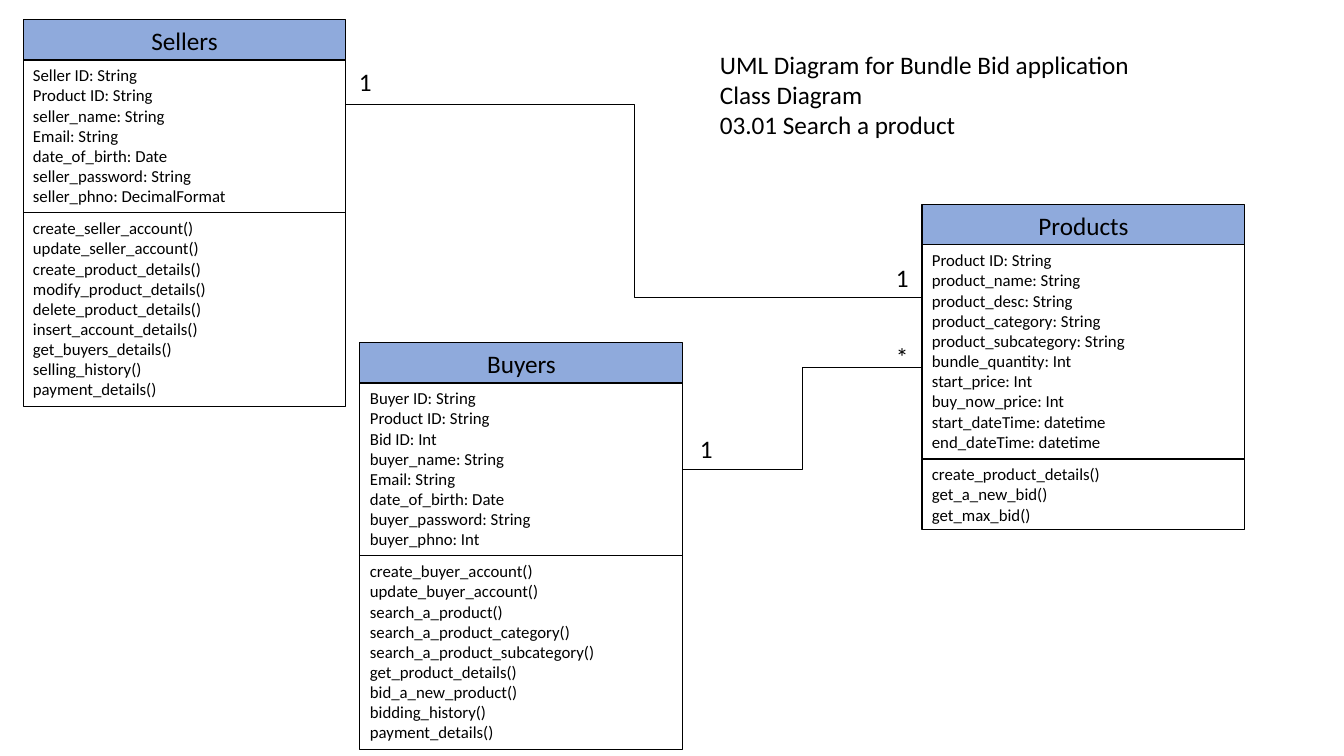
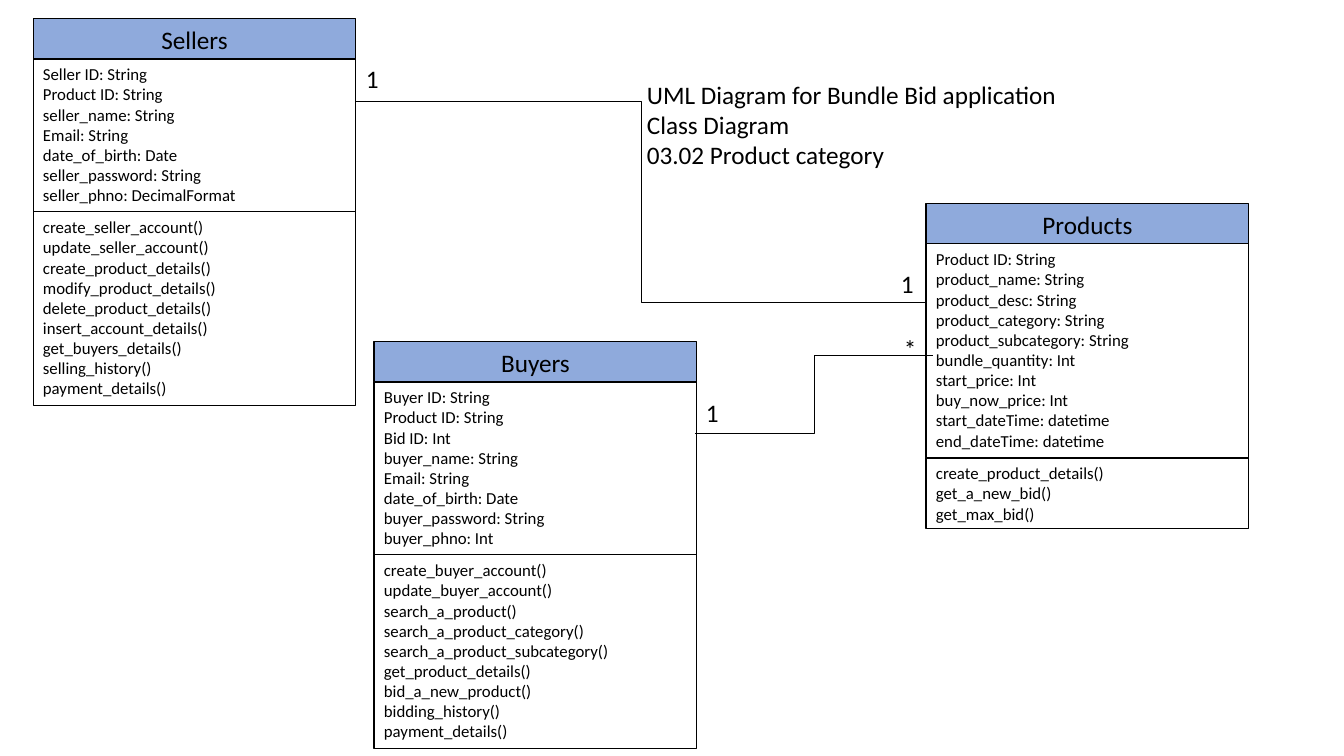
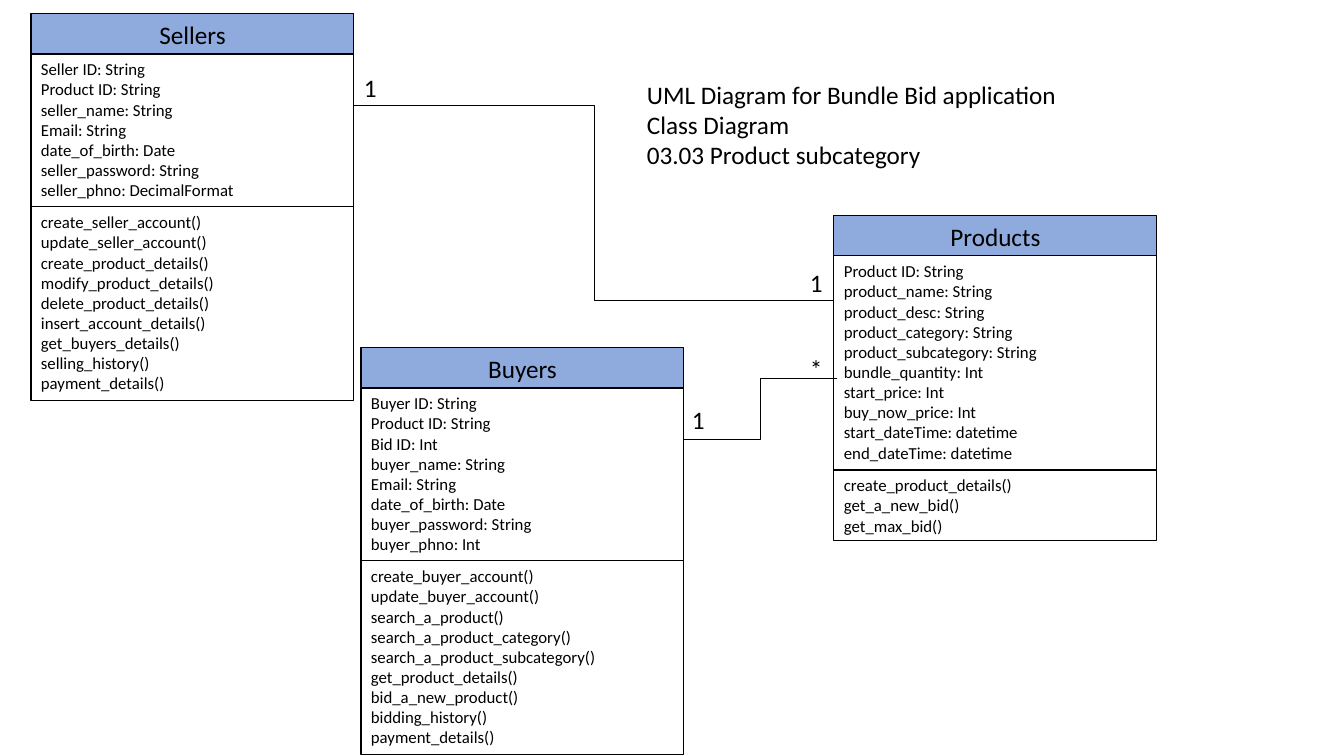
from dataclasses import dataclass

from lxml.etree import SubElement
from pptx import Presentation
from pptx.dml.color import RGBColor
from pptx.enum.shapes import MSO_CONNECTOR, MSO_SHAPE
from pptx.enum.text import MSO_ANCHOR, MSO_AUTO_SIZE, PP_ALIGN
from pptx.oxml.ns import qn
from pptx.shapes.autoshape import Shape
from pptx.slide import Slide
from pptx.util import Emu, Pt

# Shared style
SCALE = 914400 / 100.8
COLOURS = {"ink": "000000", "header": "8FAADC"}
FONT = "Calibri"
LARGE, SMALL = 18, 12
BOX_WIDTH, HEADER_HEIGHT = 323, 40
LINE_HEIGHT, BOX_PADDING = 20.4, 10
HEADING_SIZE = (454, 102)
MARK_SIZE = (22, 40)

Point = tuple[int, int]


@dataclass(frozen=True)
class UmlClass:
    name: str
    attributes: list[str]
    methods: list[str]


@dataclass(frozen=True)
class Mark:
    text: str
    corner: Point


@dataclass(frozen=True)
class Link:
    start: Point
    end: Point
    marks: tuple[Mark, Mark]


@dataclass(frozen=True)
class Diagram:
    topic: str
    heading: Point
    corners: tuple[Point, Point, Point]
    links: tuple[Link, Link]


# Classes, in the order in which each diagram gives their corners
CLASSES = (
    UmlClass(
        "Products",
        ["Product ID: String", "product_name: String", "product_desc: String",
         "product_category: String", "product_subcategory: String",
         "bundle_quantity: Int", "start_price: Int", "buy_now_price: Int",
         "start_dateTime: datetime", "end_dateTime: datetime"],
        ["create_product_details()", "get_a_new_bid()", "get_max_bid()"],
    ),
    UmlClass(
        "Sellers",
        ["Seller ID: String", "Product ID: String", "seller_name: String",
         "Email: String", "date_of_birth: Date", "seller_password: String",
         "seller_phno: DecimalFormat"],
        ["create_seller_account()", "update_seller_account()",
         "create_product_details()", "modify_product_details()",
         "delete_product_details()", "insert_account_details()",
         "get_buyers_details()", "selling_history()", "payment_details()"],
    ),
    UmlClass(
        "Buyers",
        ["Buyer ID: String", "Product ID: String", "Bid ID: Int",
         "buyer_name: String", "Email: String", "date_of_birth: Date",
         "buyer_password: String", "buyer_phno: Int"],
        ["create_buyer_account()", "update_buyer_account()",
         "search_a_product()", "search_a_product_category()",
         "search_a_product_subcategory()", "get_product_details()",
         "bid_a_new_product()", "bidding_history()", "payment_details()"],
    ),
)

# Diagrams: the first link joins sellers, the second buyers, to products
DIAGRAMS = (
    Diagram(
        "03.01 Search a product", (710, 44),
        ((922, 205), (23, 20), (360, 343)),
        (Link((346, 104), (922, 297),
              (Mark("1", (349, 61)), Mark("1", (886, 257)))),
         Link((682, 469), (922, 367),
              (Mark("1", (690, 428)), Mark("*", (886, 336))))),
    ),
    Diagram(
        "03.02 Product category", (637, 74),
        ((926, 204), (33, 19), (374, 342)),
        (Link((356, 101), (926, 302),
              (Mark("1", (356, 58)), Mark("1", (891, 263)))),
         Link((695, 433), (933, 355),
              (Mark("1", (696, 392)), Mark("*", (894, 328))))),
    ),
    Diagram(
        "03.03 Product subcategory", (637, 74),
        ((834, 216), (31, 14), (361, 348)),
        (Link((354, 105), (834, 300),
              (Mark("1", (354, 67)), Mark("1", (800, 262)))),
         Link((683, 439), (837, 378),
              (Mark("1", (682, 399)), Mark("*", (800, 348))))),
    ),
)


def px(length: float) -> Emu:
    return Emu(round(length * SCALE))


def colour(name: str) -> RGBColor:
    return RGBColor.from_string(COLOURS[name])


def write(shape: Shape, lines: list[str], size: int,
          align: PP_ALIGN = PP_ALIGN.LEFT) -> None:
    frame = shape.text_frame
    frame.text = "\n".join(lines)
    frame.word_wrap = True
    frame.auto_size = MSO_AUTO_SIZE.SHAPE_TO_FIT_TEXT
    frame.vertical_anchor = MSO_ANCHOR.TOP
    for para in frame.paragraphs:
        para.alignment = align
        for span in para.runs:
            span.font.name = FONT
            span.font.size = Pt(size)
            span.font.color.rgb = colour("ink")


def add_text(page: Slide, corner: Point, size: Point, lines: list[str]) -> None:
    box = page.shapes.add_textbox(*map(px, corner + size))
    write(box, lines, LARGE)


def add_box(page: Slide, left: int, top: int, height: int) -> Shape:
    box = page.shapes.add_shape(
        MSO_SHAPE.RECTANGLE, px(left), px(top), px(BOX_WIDTH), px(height))
    box.shadow.inherit = False
    box.fill.background()
    box.line.color.rgb = colour("ink")
    box.line.width = Pt(0.75)
    return box


def add_class(page: Slide, uml_class: UmlClass, corner: Point) -> None:
    left, top = corner
    header = add_box(page, left, top, HEADER_HEIGHT)
    header.fill.solid()
    header.fill.fore_color.rgb = colour("header")
    write(header, [uml_class.name], LARGE, PP_ALIGN.CENTER)
    top += HEADER_HEIGHT
    for members in (uml_class.attributes, uml_class.methods):
        height = round(LINE_HEIGHT * len(members) + BOX_PADDING)
        write(add_box(page, left, top, height), members, SMALL)
        top += height


def add_link(page: Slide, link: Link) -> None:
    connector = page.shapes.add_connector(
        MSO_CONNECTOR.ELBOW, *map(px, link.start + link.end))
    connector.line.color.rgb = colour("ink")
    connector.line.width = Pt(0.5)
    SubElement(connector._element.spPr, qn("a:effectLst"))
    for mark in link.marks:
        add_text(page, mark.corner, MARK_SIZE, [mark.text])


# Deck
deck = Presentation()
deck.slide_width, deck.slide_height = px(1344), px(756)
for diagram in DIAGRAMS:
    page = deck.slides.add_slide(deck.slide_layouts[6])
    for uml_class, corner in zip(CLASSES, diagram.corners):
        add_class(page, uml_class, corner)
    add_text(page, diagram.heading, HEADING_SIZE,
             ["UML Diagram for Bundle Bid application", "Class Diagram",
              diagram.topic])
    for link in diagram.links:
        add_link(page, link)
deck.save("out.pptx")
